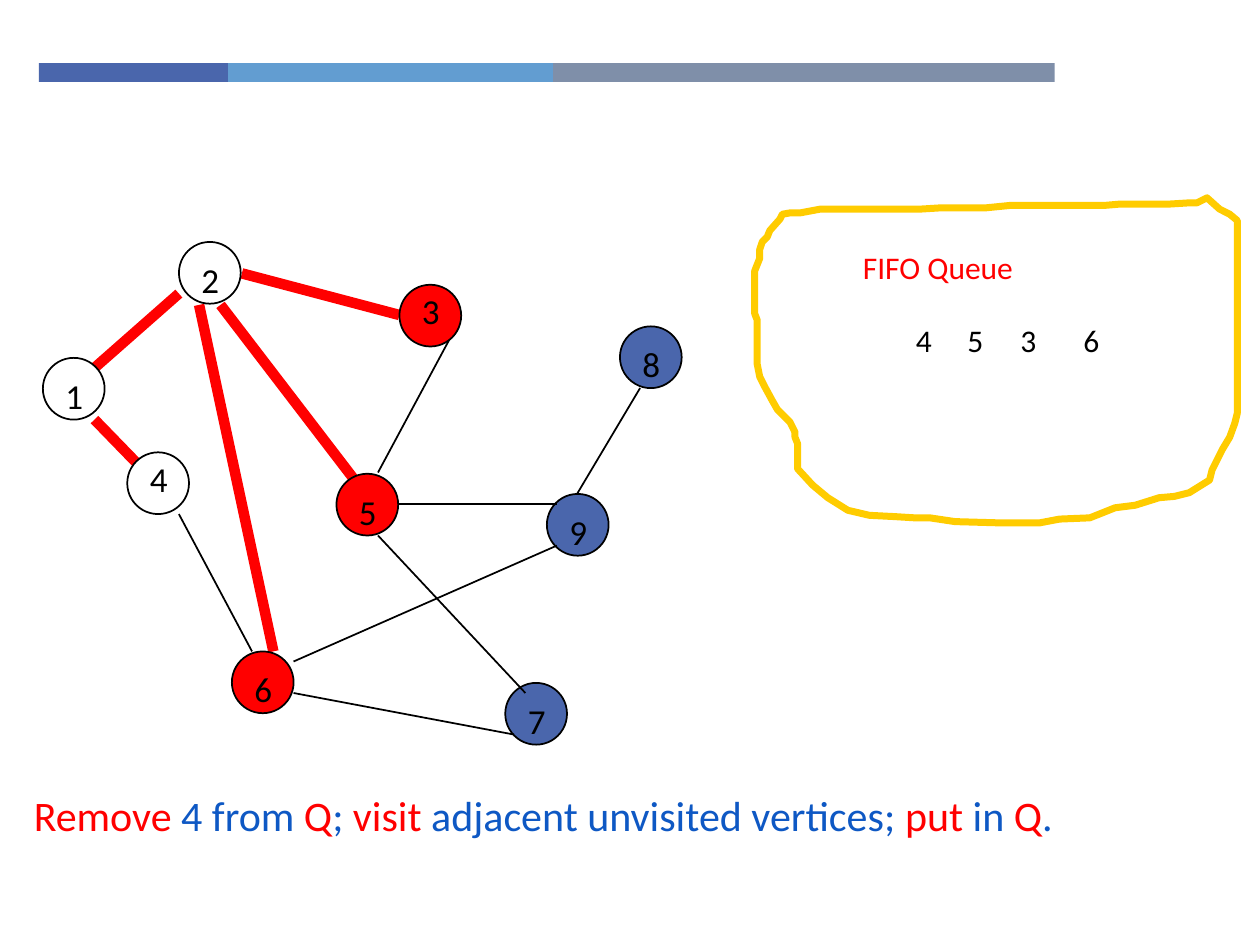
from lxml.etree import SubElement
from pptx import Presentation
from pptx.dml.color import RGBColor
from pptx.enum.shapes import MSO_CONNECTOR, MSO_SHAPE
from pptx.oxml.ns import qn
from pptx.util import Cm, Pt

INK = {
    "black": "000000", "white": "FFFFFF", "red": "FF0000", "blue": "4A66AC",
    "sky": "629DD1", "slate": "7F8FA9", "gold": "FFCC00", "text": "0E58C4",
}
FONT = "Calibri"
SIZE = 0.49
BARS = [("blue", 1.5), ("sky", 2.58), ("slate", 3.98)]
NOTE = [
    ("Remove", "red"), (" 4 from ", "text"), ("Q", "red"), ("; ", "text"),
    ("visit", "red"), (" adjacent unvisited vertices; ", "text"),
    ("put", "red"), (" in ", "text"), ("Q", "red"), (".", "text"),
]
OPEN = [("8", 4.92, 2.59, 0.08), ("9", 4.34, 3.92, 0.08), ("7", 4.01, 5.42, 0.08)]
DONE = [("1", 0.34, 2.84, 0.08), ("2", 1.42, 1.92, 0.08), ("4", 1.01, 3.59, -0.01)]
WAIT = [("5", 2.67, 3.76, 0.08), ("3", 3.17, 2.26, -0.01), ("6", 1.84, 5.17, 0.08)]
TREE = [
    (1.42, 2.33, 0.75, 2.92), (1.75, 2.42, 2.83, 3.83), (0.75, 3.33, 1.08, 3.67),
    (1.92, 2.17, 3.17, 2.5), (1.58, 2.42, 2.17, 5.17),
]
REST = [
    (1.42, 4.08, 2, 5.17), (2.33, 5.5, 4.08, 5.83), (3.58, 2.67, 3, 3.75),
    (3, 4.25, 4.17, 5.5), (5.08, 3.08, 4.58, 3.92), (3.17, 4, 4.42, 4),
    (2.33, 5.25, 4.42, 4.33),
]
QUEUE = [("4", 7.17), ("5", 7.58), ("3", 8), ("6", 8.5)]
LOOP = [
    (9.58, 1.57), (9.5, 1.61), (9.44, 1.61), (9.28, 1.62), (8.89, 1.62),
    (8.77, 1.63), (8.02, 1.63), (7.82, 1.65), (7.46, 1.65), (7.3, 1.66),
    (6.51, 1.66), (6.35, 1.69), (6.27, 1.69), (6.21, 1.7), (6.19, 1.74),
    (6.11, 1.83), (6.09, 1.88), (6.05, 1.92), (6.03, 1.98), (6.03, 2.05),
    (5.99, 2.15), (5.99, 2.49), (6.01, 2.54), (6.01, 2.89), (6.03, 2.99),
    (6.07, 3.07), (6.13, 3.18), (6.17, 3.25), (6.27, 3.35), (6.31, 3.43),
    (6.31, 3.47), (6.33, 3.52), (6.33, 3.72), (6.45, 3.85), (6.57, 3.95),
    (6.73, 4.05), (6.9, 4.09), (7.1, 4.1), (7.26, 4.11), (7.38, 4.11),
    (7.58, 4.14), (7.94, 4.15), (8.25, 4.15), (8.41, 4.12), (8.65, 4.11),
    (8.85, 4.03), (9.01, 4.01), (9.2, 3.95), (9.32, 3.94), (9.44, 3.91),
    (9.6, 3.81), (9.62, 3.73), (9.7, 3.57), (9.76, 3.47), (9.8, 3.36),
    (9.82, 3.28), (9.82, 1.75), (9.76, 1.7), (9.68, 1.66),
]


def inch(val):
    """Turn inches into a length."""
    return Cm(val * 2.54)


def tint(name):
    """Look up a colour."""
    return RGBColor.from_string(INK[name])


def add_form(slide, kind, box, fill, edge=None):
    """Add a filled preset shape."""
    form = slide.shapes.add_shape(kind, *map(inch, box))
    form.shadow.inherit = False
    form.fill.solid()
    form.fill.fore_color.rgb = tint(fill)
    if edge:
        form.line.color.rgb = tint(edge)
        form.line.width = Pt(1)
    else:
        form.line.fill.background()


def add_text(slide, box, runs, size):
    """Add a text box of coloured runs and return its paragraph."""
    frame = slide.shapes.add_textbox(*map(inch, box)).text_frame
    frame.word_wrap = True
    para = frame.paragraphs[0]
    for words, name in runs:
        run = para.add_run()
        run.text = words
        run.font.name = FONT
        run.font.size = Pt(size)
        run.font.color.rgb = tint(name)
    return para


def add_nodes(slide, nodes, fill):
    """Add numbered circles."""
    for label, left, top, drop in nodes:
        add_form(slide, MSO_SHAPE.OVAL, (left, top, SIZE, SIZE), fill, "black")
        box = (left + 0.08, top + drop, 0.25, 0.43)
        add_text(slide, box, [(label, "black")], 20)


def add_edges(slide, edges, name, width):
    """Add straight graph edges."""
    for ends in edges:
        edge = slide.shapes.add_connector(MSO_CONNECTOR.STRAIGHT, *map(inch, ends))
        edge.line.color.rgb = tint(name)
        edge.line.width = Pt(width)
        SubElement(edge.element.spPr, qn("a:effectLst"))


def add_loop(slide):
    """Draw the outline around the queue."""
    dots = [(round(x * 100), round(y * 100)) for x, y in LOOP]
    pen = slide.shapes.build_freeform(*dots[0], scale=inch(0.01))
    pen.add_line_segments(dots[1:], close=True)
    loop = pen.convert_to_shape()
    loop.shadow.inherit = False
    loop.fill.background()
    loop.line.color.rgb = tint("gold")
    loop.line.width = Pt(4)


def main():
    """Build the slide."""
    deck = Presentation()
    deck.slide_width, deck.slide_height = inch(10), inch(7.5)
    slide = deck.slides.add_slide(deck.slide_layouts[6])
    left = 0.31
    for name, width in BARS:
        add_form(slide, MSO_SHAPE.RECTANGLE, (left, 0.5, width, 0.15), name)
        left += width
    note = add_text(slide, (0.17, 6.22, 9.83, 0.78), NOTE, 24)
    note.space_before = Pt(20)
    props = note._p.get_or_add_pPr()
    props.set("marL", str(inch(0.5)))
    props.set("indent", str(-inch(0.5)))
    add_nodes(slide, OPEN, "blue")
    add_edges(slide, REST, "black", 1)
    add_edges(slide, TREE, "red", 6)
    add_nodes(slide, DONE, "white")
    add_nodes(slide, WAIT, "red")
    add_loop(slide)
    add_text(slide, (6.75, 1.92, 3.08, 0.86), [("FIFO Queue", "red")], 18)
    for label, left in QUEUE:
        add_text(slide, (left, 2.5, 0.42, 0.63), [(label, "black")], 18)
    deck.save("out.pptx")


if __name__ == "__main__":
    main()
